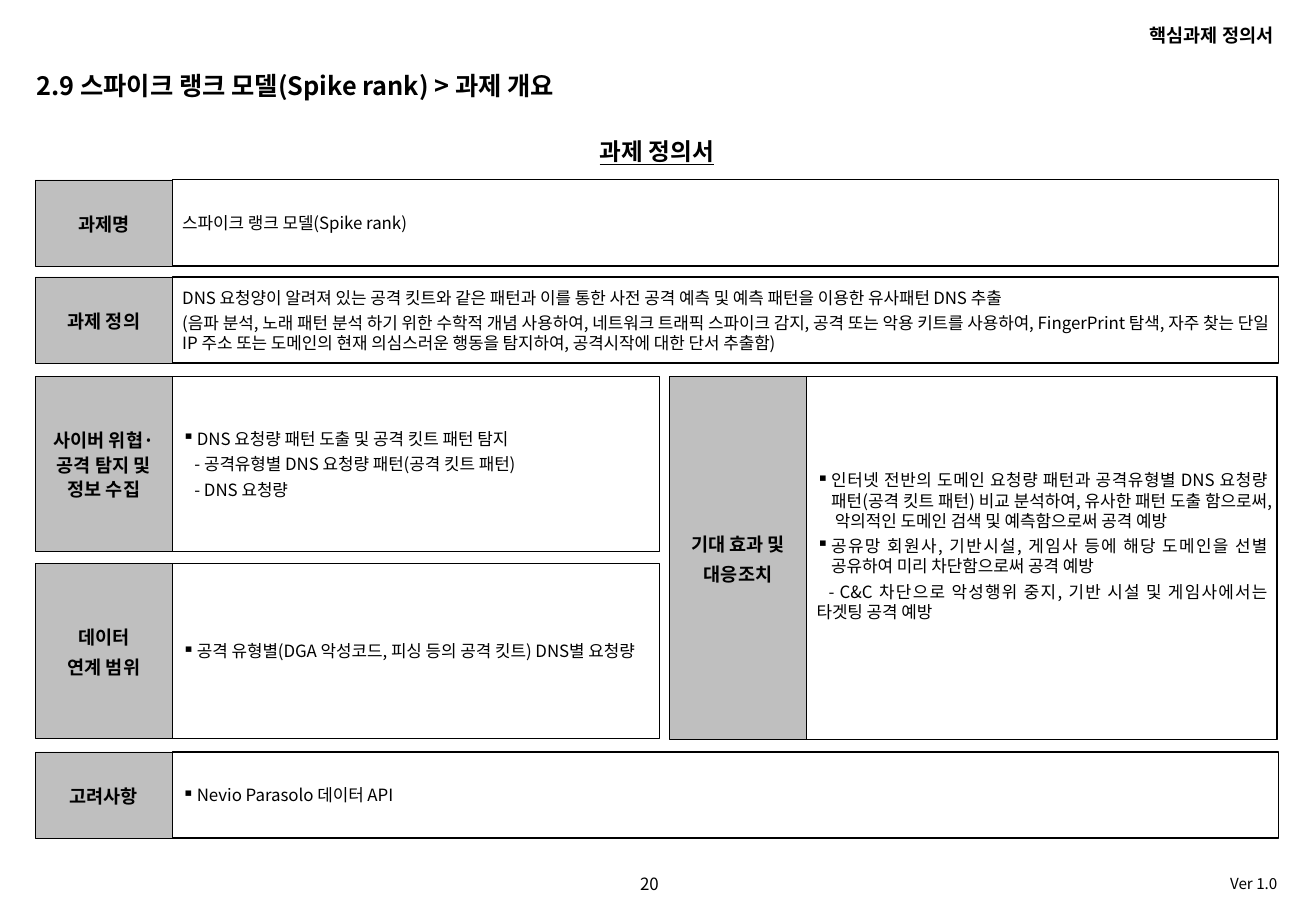
"""Build the task definition sheet for the spike rank model."""
from lxml.etree import SubElement
from pptx import Presentation
from pptx.dml.color import RGBColor
from pptx.enum.shapes import MSO_SHAPE
from pptx.enum.text import MSO_ANCHOR as Anchor, MSO_AUTO_SIZE as AutoSize, PP_ALIGN as Align
from pptx.oxml.ns import qn
from pptx.util import Inches, Pt

FONT = "Noto Sans CJK KR"
COLORS = {"ink": "000000", "label": "BFBFBF", "content": "FFFFFF"}


def write(frame, paragraphs, align, size, bold=False, underline=False, spacing=None):
    """Fill a frame with (kind, text) paragraphs."""
    for index, (kind, text) in enumerate(paragraphs):
        para = frame.paragraphs[0] if index == 0 else frame.add_paragraph()
        props = para._p.get_or_add_pPr()
        if kind == "bullet":
            props.set("marL", str(Inches(0.12)))
            props.set("indent", str(Inches(-0.12)))
            SubElement(props, qn("a:buChar")).set("char", "▪")
        elif kind == "sub":
            props.set("marL", "0")
            props.set("indent", str(Inches(0.1)))
        para_format = {"alignment": align, "line_spacing": spacing,
                       "space_before": Pt(3 if index else 0)}
        for name, value in para_format.items():
            setattr(para, name, value)
        run = para.add_run()
        run.text = text
        run_format = {"name": FONT, "size": Pt(size), "bold": bold, "underline": underline}
        for name, value in run_format.items():
            setattr(run.font, name, value)
        run.font.color.rgb = RGBColor.from_string(COLORS["ink"])
        SubElement(run._r.get_or_add_rPr(), qn("a:ea")).set("typeface", FONT)


def add_panel(left, top, width, height, role, line_width):
    """Draw one bordered cell of the sheet and return its text frame."""
    panel = slide.shapes.add_shape(
        MSO_SHAPE.RECTANGLE, Inches(left), Inches(top), Inches(width), Inches(height))
    panel.shadow.inherit = False
    panel.fill.solid()
    panel.fill.fore_color.rgb = RGBColor.from_string(COLORS[role])
    panel.line.color.rgb = RGBColor.from_string(COLORS["ink"])
    panel.line.width = Pt(line_width)
    frame_format = {"word_wrap": True, "vertical_anchor": Anchor.MIDDLE,
                    "margin_left": Inches(0.08), "margin_right": Inches(0.08),
                    "margin_top": Inches(0.05), "margin_bottom": Inches(0.05)}
    for name, value in frame_format.items():
        setattr(panel.text_frame, name, value)
    return panel.text_frame


prs = Presentation()
prs.slide_width, prs.slide_height = Inches(10.83), Inches(7.5)
slide = prs.slides.add_slide(prs.slide_layouts[5])

title = slide.shapes.title
title_place = {"left": 0.2, "top": 0.53, "width": 8.81, "height": 0.39}
for name, value in title_place.items():
    setattr(title, name, Inches(value))
title_format = {"vertical_anchor": Anchor.TOP, "word_wrap": True, "auto_size": AutoSize.NONE}
for name, value in title_format.items():
    setattr(title.text_frame, name, value)
write(title.text_frame, [("plain", "2.9 스파이크 랭크 모델(Spike rank) > 과제 개요")],
      Align.LEFT, 15, bold=True)

captions = [
    ("20", (4.88, 7.14, 0.93, 0.27), Align.CENTER, 10, False, False, Anchor.TOP),
    ("Ver 1.0", (6.46, 7.15, 4.15, 0.25), Align.RIGHT, 9, False, False, Anchor.TOP),
    ("핵심과제 정의서", (7.08, 0.15, 3.5, 0.29), Align.RIGHT, 11, True, False, Anchor.TOP),
    ("과제 정의서", (0.29, 1.05, 10.23, 0.39), Align.CENTER, 14, True, True, Anchor.MIDDLE),
]
for text, place, align, size, bold, underline, anchor in captions:
    caption = slide.shapes.add_textbox(*map(Inches, place)).text_frame
    caption.word_wrap = True
    caption.vertical_anchor = anchor
    write(caption, [("plain", text)], align, size, bold, underline)

LABEL_WIDTH = 1.13
LEFT, MIDDLE = 0.29, 5.51
WIDE, HALF, RIGHT_HALF = 9.1, 4.01, 3.87
SHORT, MEDIUM, TALL = 0.71, 1.44, 2.99

sections = [
    (LEFT, 1.48, WIDE, SHORT, Align.LEFT, ["과제명"],
     [("plain", "스파이크 랭크 모델(Spike rank)")]),
    (LEFT, 2.28, WIDE, SHORT, Align.JUSTIFY, ["과제 정의"],
     [("plain", "DNS 요청양이 알려져 있는 공격 킷트와 같은 패턴과 이를 통한 사전 공격 예측 및 "
                "예측 패턴을 이용한 유사패턴 DNS 추출"),
      ("plain", "(음파 분석, 노래 패턴 분석 하기 위한 수학적 개념 사용하여, 네트워크 트래픽 스파이크 "
                "감지, 공격 또는 악용 키트를 사용하여, FingerPrint 탐색, 자주 찾는 단일 IP 주소 또는 "
                "도메인의 현재 의심스러운 행동을 탐지하여, 공격시작에 대한 단서 추출함)")]),
    (LEFT, 3.1, HALF, MEDIUM, Align.JUSTIFY, ["사이버 위협· 공격 탐지 및 정보 수집"],
     [("bullet", "DNS 요청량 패턴 도출 및 공격 킷트 패턴 탐지"),
      ("sub", "- 공격유형별 DNS 요청량 패턴(공격 킷트 패턴)"),
      ("sub", "- DNS 요청량")]),
    (LEFT, 4.64, HALF, MEDIUM, Align.LEFT, ["데이터", "연계 범위"],
     [("bullet", "공격 유형별(DGA 악성코드, 피싱 등의 공격 킷트) DNS별 요청량")]),
    (MIDDLE, 3.1, RIGHT_HALF, TALL, Align.JUSTIFY, ["기대 효과 및", "대응조치"],
     [("bullet", "인터넷 전반의 도메인 요청량 패턴과 공격유형별 DNS 요청량 패턴(공격 킷트 패턴) "
                 "비교 분석하여, 유사한 패턴 도출 함으로써, 악의적인 도메인 검색 및 예측함으로써 공격 예방"),
      ("bullet", "공유망 회원사, 기반시설, 게임사 등에 해당 도메인을 선별 공유하여 미리 차단함으로써 "
                 "공격 예방"),
      ("sub", "- C&C 차단으로 악성행위 중지, 기반 시설 및 게임사에서는 타겟팅 공격 예방")]),
    (LEFT, 6.19, WIDE, SHORT, Align.LEFT, ["고려사항"],
     [("bullet", "Nevio Parasolo 데이터 API")]),
]
for left, top, width, height, align, label_lines, content in sections:
    label = add_panel(left, top, LABEL_WIDTH, height, "label", 0.25)
    write(label, [("plain", line) for line in label_lines], Align.CENTER, 11,
          bold=True, spacing=1.1)
    body = add_panel(left + LABEL_WIDTH, top, width, height, "content", 0.75)
    if height == TALL:
        body.margin_bottom = Inches(0.25)
    write(body, content, align, 10)

prs.save("out.pptx")
